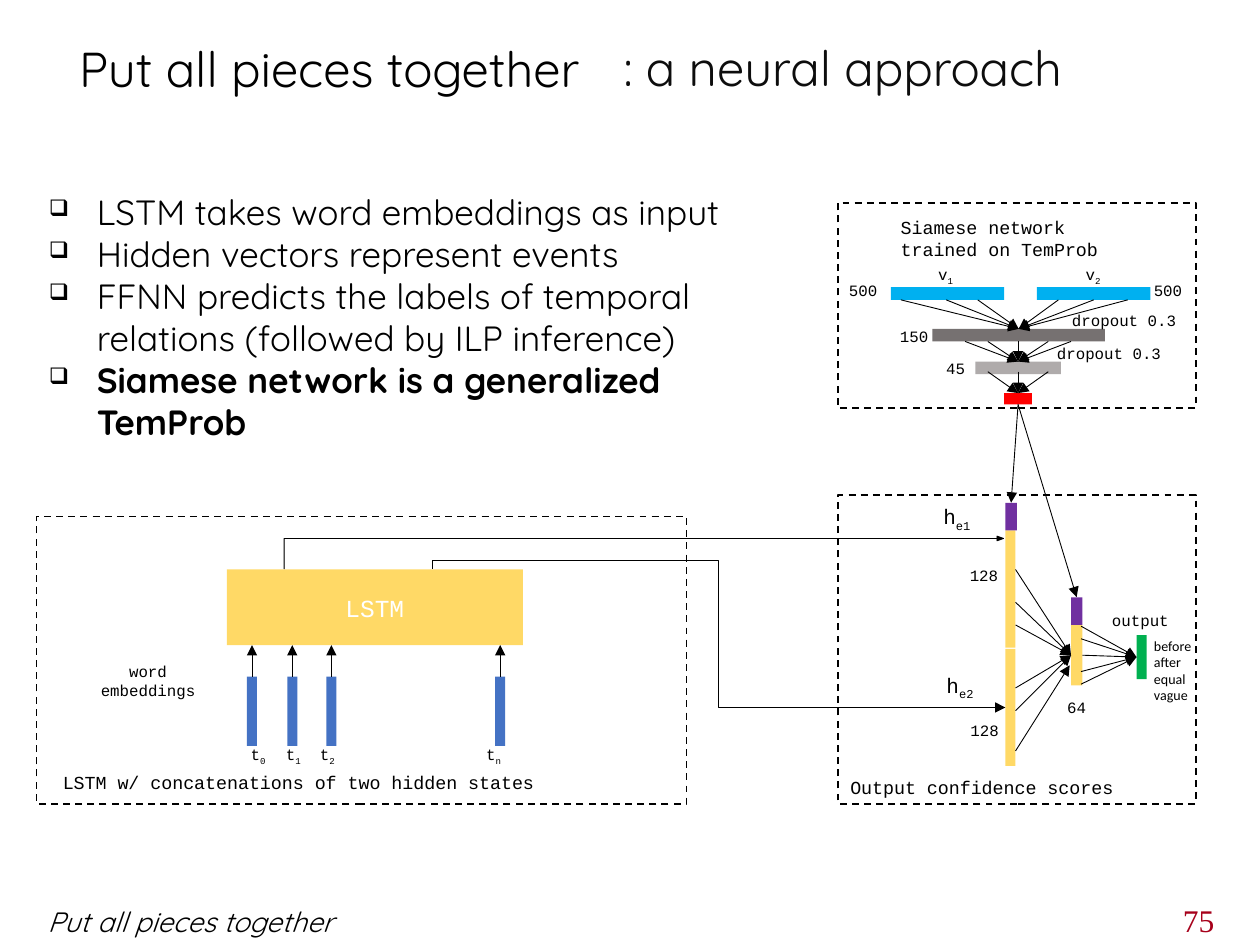
from lxml import etree
from pptx import Presentation
from pptx.dml.color import RGBColor
from pptx.enum.dml import MSO_LINE
from pptx.enum.shapes import MSO_CONNECTOR, MSO_SHAPE
from pptx.enum.text import MSO_ANCHOR, PP_ALIGN
from pptx.oxml.ns import qn
from pptx.util import Inches, Pt

RECTANGLE, BENT_ARROW = MSO_SHAPE.RECTANGLE, MSO_SHAPE.BENT_UP_ARROW
STRAIGHT, ELBOW = MSO_CONNECTOR.STRAIGHT, MSO_CONNECTOR.ELBOW
LEFT, CENTER = PP_ALIGN.LEFT, PP_ALIGN.CENTER
TOP, MIDDLE = MSO_ANCHOR.TOP, MSO_ANCHOR.MIDDLE
DASH = MSO_LINE.DASH
TOP_SIDE, LEFT_SIDE, BOTTOM_SIDE, RIGHT_SIDE = range(4)

THEME = {
    "black": "000000", "title": "0D0D0D", "white": "FFFFFF", "number": "A7001B",
    "hidden": "FFD966", "token": "4472C4", "vector": "00B0F0", "dense": "767171",
    "dense_light": "AFABAB", "score": "FF0000", "feature": "7030A0", "output": "00B050",
    "sans": "Quicksand", "mono": "Courier New", "plain": "Calibri", "serif": "Times New Roman",
    "title_size": 28, "body_size": 20, "number_size": 18, "footer_size": 16, "lstm_size": 14,
    "state_size": 12, "caption_size": 10.5, "label_size": 9, "class_size": 8,
}

PANELS = [(0.29, 4.1, 5.16, 2.28), (6.65, 3.93, 2.84, 2.45), (6.65, 1.61, 2.84, 1.63)]
BARS = {
    "lstm": (1.8, 4.52, 2.35, 0.6, "hidden"),
    "event 2": (7.98, 5.15, 0.08, 0.93, "hidden"),
    "event 1": (7.98, 4.21, 0.08, 0.93, "hidden"),
    "hidden layer": (8.5, 4.96, 0.09, 0.48, "hidden"),
    "output": (9.02, 5.04, 0.08, 0.35, "output"),
    "score": (7.97, 3.12, 0.22, 0.09, "score"),
    "v1": (7.07, 2.28, 0.9, 0.1, "vector"),
    "v2": (8.23, 2.28, 0.9, 0.1, "vector"),
    "dense 150": (7.4, 2.61, 1.37, 0.1, "dense"),
    "dense 45": (7.74, 2.87, 0.68, 0.1, "dense_light"),
    "feature 1": (7.98, 3.99, 0.09, 0.22, "feature"),
    "feature 2": (8.5, 4.74, 0.09, 0.22, "feature"),
}
TOKEN_LEFTS = [1.96, 2.28, 2.59, 3.93]
TOKEN_TOP, TOKEN_WIDTH, TOKEN_HEIGHT = 5.37, 0.08, 0.55

# Target bar, side reached, starting points
FANS = [
    ("dense 150", TOP_SIDE, [(x, 2.38) for x in (7.15, 7.51, 7.76, 8.4, 8.68, 8.95)]),
    ("dense 45", TOP_SIDE, [(x, 2.71) for x in (7.66, 7.84, 8.08, 8.32, 8.5)]),
    ("score", TOP_SIDE, [(x, 2.95) for x in (7.84, 8.08, 8.32)]),
    ("hidden layer", LEFT_SIDE, [(8.06, y) for y in (4.52, 4.78, 4.96, 5.46, 5.64)]),
    ("output", LEFT_SIDE, [(8.58, y) for y in (4.97, 5.07, 5.33, 5.43)]),
]
BAR_LINKS = [
    ("hidden layer", RIGHT_SIDE, "output", LEFT_SIDE),
    ("score", BOTTOM_SIDE, "feature 1", TOP_SIDE),
    ("score", BOTTOM_SIDE, "feature 2", TOP_SIDE),
]

# Box, text pieces (every second piece is a subscript)
CENTERED_LABELS = [
    ((6.89, 2.05, 1.23, 0.25), ("v", "1")),
    ((8.06, 2.05, 1.23, 0.25), ("v", "2")),
    ((6.62, 2.18, 0.46, 0.25), ("500",)),
    ((9.04, 2.18, 0.46, 0.25), ("500",)),
    ((6.82, 2.54, 0.87, 0.25), ("150",)),
    ((7.15, 2.8, 0.87, 0.25), ("45",)),
    ((7.56, 4.44, 0.5, 0.25), ("128",)),
    ((7.51, 5.67, 0.61, 0.25), ("128",)),
    ((8.32, 5.49, 0.45, 0.25), ("64",)),
    ((8.7, 4.8, 0.7, 0.25), ("output",)),
    ((0.56, 5.2, 1.23, 0.4), ("word embeddings",)),
]
STATE_LABELS = [((7.32, 3.95, 0.55, 0.3), ("h", "e1")), ((7.39, 5.29, 0.46, 0.3), ("h", "e2"))]
CAPTIONS = [
    ((0.4, 6.07, 5.06, 0.29), "LSTM w/ concatenations of two hidden states"),
    ((6.65, 6.11, 2.6, 0.29), "Output confidence scores"),
    ((7.05, 1.67, 2.14, 0.47), "Siamese network trained on TemProb"),
]
DROPOUT_BOXES = [(8.41, 2.42, 1.03, 0.25), (8.29, 2.68, 1.03, 0.25)]
TOKEN_LABELS = ("t", "0", "\tt", "1", "\tt", "2", "\tt", "n")
TOKEN_TABS = [0.28, 0.55, 1.87]
CLASSES = ["before", "after", "equal", "vague"]
BULLETS = [
    "LSTM takes word embeddings as input",
    "Hidden vectors represent events",
    "FFNN predicts the labels of temporal relations (followed by ILP inference)",
    "Siamese network is a generalized TemProb",
]


def color(name):
    return RGBColor.from_string(THEME[name])


def style(font, size, face="mono", ink="black"):
    font.size, font.name = Pt(THEME[size]), THEME[face]
    font.color.rgb = color(ink)


def add_rectangle(slide, box, fill=None):
    """Draw a filled bar, or a dashed panel when no fill is given."""
    shape = slide.shapes.add_shape(RECTANGLE, *map(Inches, box))
    shape.shadow.inherit = False
    if fill:
        shape.fill.solid()
        shape.fill.fore_color.rgb = color(fill)
        shape.line.fill.background()
    else:
        shape.fill.background()
        shape.line.color.rgb, shape.line.width = color("black"), Pt(1)
        shape.line.dash_style = DASH
    return shape


def add_line(slide, start=(0, 0), end=(0, 0), kind=STRAIGHT, arrow=True):
    line = slide.shapes.add_connector(kind, *map(Inches, (*start, *end)))
    line.line.color.rgb, line.line.width = color("black"), Pt(0.5)
    properties = line._element.spPr
    if arrow:
        etree.SubElement(properties.find(qn("a:ln")), qn("a:tailEnd"), type="triangle")
    etree.SubElement(properties, qn("a:effectLst"))
    return line


def add_text(slide, box, lines, size, face="mono", ink="black", align=LEFT, wrap=True):
    """Add a text box; a line given as a tuple alternates normal and subscript runs."""
    text_frame = slide.shapes.add_textbox(*map(Inches, box)).text_frame
    text_frame.word_wrap, text_frame.vertical_anchor = wrap, TOP
    for index, line in enumerate(lines):
        paragraph = text_frame.paragraphs[0] if index == 0 else text_frame.add_paragraph()
        paragraph.alignment = align
        for position, piece in enumerate((line,) if isinstance(line, str) else line):
            run = paragraph.add_run()
            run.text = piece
            style(run.font, size, face, ink)
            if position % 2:
                run._r.get_or_add_rPr().set("baseline", "-25000")
    return text_frame.paragraphs


def set_indent(paragraph, margin, first_line=0):
    properties = paragraph._p.get_or_add_pPr()
    properties.set("marL", str(Inches(margin)))
    properties.set("indent", str(Inches(first_line)))
    return properties


def draw_diagram(slide):
    for box in PANELS:
        add_rectangle(slide, box)
    bars = {name: add_rectangle(slide, box, fill) for name, (*box, fill) in BARS.items()}

    lstm = bars["lstm"].text_frame
    lstm.text, lstm.vertical_anchor = "LSTM", MIDDLE
    lstm.paragraphs[0].alignment = CENTER
    style(lstm.paragraphs[0].runs[0].font, "lstm_size", ink="white")

    for left in TOKEN_LEFTS:
        token = add_rectangle(slide, (left, TOKEN_TOP, TOKEN_WIDTH, TOKEN_HEIGHT), "token")
        middle = left + TOKEN_WIDTH / 2
        arrow = add_line(slide, (middle, TOKEN_TOP), (middle, 5.12))
        arrow.begin_connect(token, TOP_SIDE)
    for target, side, starts in FANS:
        for start in starts:
            add_line(slide, start).end_connect(bars[target], side)
    for source, source_side, target, side in BAR_LINKS:
        arrow = add_line(slide)
        arrow.begin_connect(bars[source], source_side)
        arrow.end_connect(bars[target], side)
    add_line(slide, (8.06, 5.96), (8.49, 5.28))

    first_state = slide.shapes.add_shape(BENT_ARROW, *map(Inches, (4.98, 1.53, 0.26, 5.71)))
    first_state.shadow.inherit = False
    first_state.rotation = 90
    first_state._element.spPr.xfrm.set("flipH", "1")
    for index, value in enumerate((0, 0.07, 0.2)):
        first_state.adjustments[index] = value
    first_state.fill.solid()
    first_state.fill.fore_color.rgb = first_state.line.color.rgb = color("black")
    first_state.line.width = Pt(0.5)

    add_line(slide, (3.43, 4.45), (3.43, 4.52), arrow=False)
    second_state = add_line(slide, (3.43, 4.45), (7.98, 5.61), ELBOW)
    second_state.end_connect(bars["event 2"], LEFT_SIDE)


def write_labels(slide):
    for box, pieces in CENTERED_LABELS:
        add_text(slide, box, [pieces], "label_size", align=CENTER)
    for box, pieces in STATE_LABELS:
        add_text(slide, box, [pieces], "state_size", align=CENTER)
    for box, caption in CAPTIONS:
        add_text(slide, box, [caption], "caption_size")
    for box in DROPOUT_BOXES:
        add_text(slide, box, ["dropout 0.3"], "label_size", wrap=False)
    for paragraph in add_text(slide, (9.06, 5.01, 0.51, 0.61), CLASSES, "class_size", "plain", wrap=False):
        paragraph.line_spacing = Pt(9.4)
    tokens = add_text(slide, (1.89, 5.86, 2.32, 0.25), [TOKEN_LABELS], "label_size")[0]
    tabs = etree.SubElement(tokens._p.get_or_add_pPr(), qn("a:tabLst"))
    for position in TOKEN_TABS:
        etree.SubElement(tabs, qn("a:tab"), pos=str(Inches(position)), algn="l")


def write_text(slide):
    title = add_text(slide, (0.03, 0.26, 5, 0.57), ["Put all pieces together"], "title_size", "sans")
    set_indent(title[0], 0.5)
    add_text(slide, (4.85, 0.25, 4.22, 0.58), [": a neural approach"], "title_size", "sans", "title")
    bullets = add_text(slide, (0.29, 1.46, 5.92, 2.12), BULLETS, "body_size", "sans")
    for paragraph in bullets:
        properties = set_indent(paragraph, 0.38, -0.38)
        etree.SubElement(properties, qn("a:buSzPct"), val="65000")
        etree.SubElement(properties, qn("a:buChar"), char="❑")
    bullets[-1].runs[0].font.bold = True
    footer = add_text(slide, (-0.22, 7.13, 4, 0.37), ["Put all pieces together"], "footer_size", "sans")
    set_indent(footer[0], 0.5)
    footer[0].runs[0].font.italic = True
    add_text(slide, (9.29, 7.1, 0.49, 0.4), ["75"], "number_size", "serif", "number", wrap=False)


def main():
    presentation = Presentation()
    presentation.slide_width, presentation.slide_height = Inches(10), Inches(7.5)
    slide = presentation.slides.add_slide(presentation.slide_layouts[6])
    draw_diagram(slide)
    write_labels(slide)
    write_text(slide)
    presentation.save("out.pptx")


if __name__ == "__main__":
    main()
